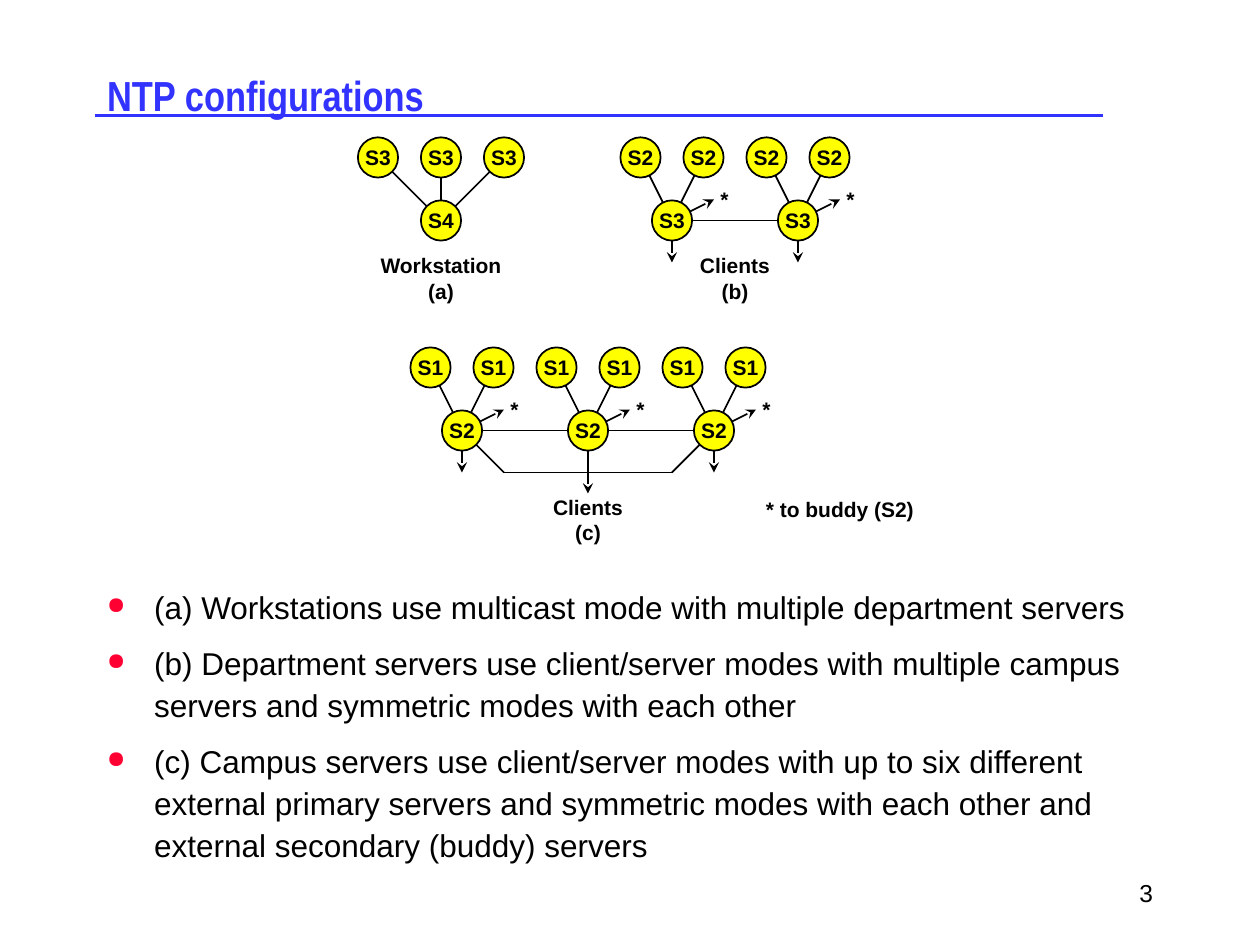
from dataclasses import dataclass

from lxml.etree import SubElement
from pptx import Presentation
from pptx.dml.color import RGBColor
from pptx.enum.shapes import MSO_CONNECTOR, MSO_SHAPE
from pptx.enum.text import MSO_ANCHOR, MSO_AUTO_SIZE, PP_ALIGN
from pptx.oxml.ns import qn
from pptx.util import Pt


@dataclass(frozen=True)
class Theme:
    ink: str = "000000"
    title: str = "3333FF"
    bullet: str = "FF0033"
    node: str = "FFFF00"
    font: str = "Arial"
    title_font: str = "Arial Narrow"
    title_size: int = 24
    body_size: int = 18
    label_size: int = 12
    number_size: int = 14


T = Theme()
STEP = 36
DIAMETER = 23
BULLETS = [
    "(a) Workstations use multicast mode with multiple department servers",
    "(b) Department servers use client/server modes with multiple campus "
    "servers and symmetric modes with each other",
    "(c) Campus servers use client/server modes with up to six different "
    "external primary servers and symmetric modes with each other and "
    "external secondary (buddy) servers",
]


def add_run(p, text, size, color=T.ink, font=T.font, bold=False):
    r = p.add_run()
    r.text = text
    r.font.size = Pt(size)
    r.font.name = font
    r.font.bold = bold
    r.font.color.rgb = RGBColor.from_string(color)


def set_frame(tf, wrap=True, anchor=MSO_ANCHOR.MIDDLE):
    tf.auto_size = MSO_AUTO_SIZE.NONE
    tf.word_wrap = wrap
    tf.vertical_anchor = anchor


def write_label(sp, lines):
    tf = sp.text_frame
    set_frame(tf, wrap=False)
    for i, line in enumerate(lines):
        p = tf.add_paragraph() if i else tf.paragraphs[0]
        p.alignment = PP_ALIGN.CENTER
        add_run(p, line, T.label_size, bold=True)


def add_label(s, cx, cy, w, h, *lines):
    sp = s.shapes.add_textbox(Pt(cx - w / 2), Pt(cy - h / 2), Pt(w), Pt(h))
    write_label(sp, lines)


def add_line(s, start, end, arrow=False, color=T.ink, width=1):
    c = s.shapes.add_connector(MSO_CONNECTOR.STRAIGHT, *map(Pt, start + end))
    c.line.color.rgb = RGBColor.from_string(color)
    c.line.width = Pt(width)
    if arrow:
        SubElement(c.line._get_or_add_ln(), qn("a:tailEnd"), type="stealth")
    SubElement(c.element.spPr, qn("a:effectLst"))
    return c


def add_node(s, center, text):
    x, y = (v - DIAMETER / 2 for v in center)
    sp = s.shapes.add_shape(MSO_SHAPE.OVAL, Pt(x), Pt(y), Pt(DIAMETER), Pt(DIAMETER))
    sp.shadow.inherit = False
    sp.fill.solid()
    sp.fill.fore_color.rgb = RGBColor.from_string(T.node)
    sp.line.color.rgb = RGBColor.from_string(T.ink)
    sp.line.width = Pt(1)
    write_label(sp, [text])


def add_tree(s, hub, name, parent, parents):
    x, y = hub
    left = x - STEP * (parents - 1) / 2
    tops = [(left + STEP * i, y - STEP) for i in range(parents)]
    for top in tops:
        add_line(s, top, hub)
    for top in tops:
        add_node(s, top, parent)
    add_node(s, hub, name)


def add_peers(s, hubs, name, parent, drops):
    for a, b in zip(hubs, hubs[1:]):
        add_line(s, a, b)
    for (x, y), drop in zip(hubs, drops):
        add_line(s, (x, y), (x, y + drop), arrow=True)
        add_line(s, (x, y), (x + 24, y - 12), arrow=True)
        add_label(s, x + 30, y - 12, 11, 11, "*")
        add_tree(s, (x, y), name, parent, 2)


def add_title(s):
    sp = s.shapes.title
    sp.left, sp.top, sp.width, sp.height = Pt(54), Pt(30), Pt(612), Pt(48)
    set_frame(sp.text_frame)
    p = sp.text_frame.paragraphs[0]
    p.alignment = PP_ALIGN.LEFT
    add_run(p, "NTP configurations", T.title_size, T.title, T.title_font, True)
    rule = add_line(s, (54, 66), (630, 66), color=T.title, width=2)
    sp.element.addprevious(rule.element)


def add_bullets(s):
    tf = s.shapes.add_textbox(Pt(54), Pt(330), Pt(612), Pt(162)).text_frame
    set_frame(tf, anchor=MSO_ANCHOR.TOP)
    for i, text in enumerate(BULLETS):
        p = tf.add_paragraph() if i else tf.paragraphs[0]
        p.line_spacing = Pt(24)
        p.space_before = Pt(8)
        pPr = p._p.get_or_add_pPr()
        pPr.set("marL", str(Pt(27)))
        pPr.set("indent", str(Pt(-27)))
        SubElement(SubElement(pPr, qn("a:buClr")), qn("a:srgbClr"), val=T.bullet)
        SubElement(pPr, qn("a:buSzPct"), val="75000")
        SubElement(pPr, qn("a:buChar"), char="●")
        add_run(p, text, T.body_size)


def add_number(s):
    tf = s.shapes.add_textbox(Pt(516), Pt(492), Pt(150), Pt(36)).text_frame
    set_frame(tf)
    p = tf.paragraphs[0]
    p.alignment = PP_ALIGN.RIGHT
    add_run(p, "3", T.number_size)


def main():
    prs = Presentation()
    prs.slide_width, prs.slide_height = Pt(720), Pt(540)
    s = prs.slides.add_slide(prs.slide_layouts[5])
    add_title(s)

    add_tree(s, (252, 126), "S4", "S3", 3)
    add_label(s, 252, 159, 84, 30, "Workstation", "(a)")

    department = [(384 + 2 * STEP * i, 126) for i in range(2)]
    add_peers(s, department, "S3", "S2", [24, 24])
    add_label(s, 420, 159, 48, 30, "Clients", "(b)")

    campus = [(264 + 2 * STEP * i, 246) for i in range(3)]
    bypass = [campus[0], (288, 270), (384, 270), campus[-1]]
    for a, b in zip(bypass, bypass[1:]):
        add_line(s, a, b)
    add_peers(s, campus, "S2", "S1", [24, 36, 24])
    add_label(s, 336, 297, 48, 30, "Clients", "(c)")
    add_label(s, 480, 291, 108, 18, "* to buddy (S2)")

    add_bullets(s)
    add_number(s)
    prs.save("out.pptx")


if __name__ == "__main__":
    main()
